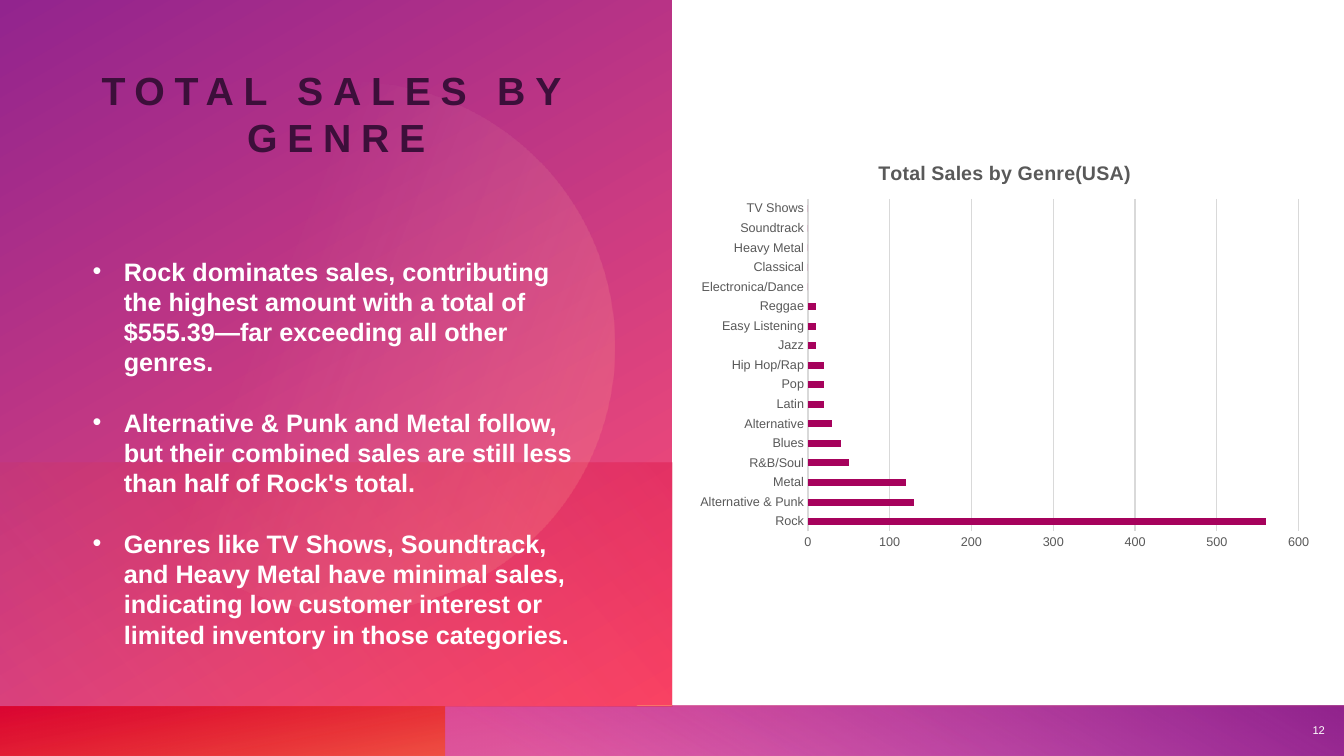
from lxml.etree import SubElement
from pptx import Presentation
from pptx.chart.data import CategoryChartData
from pptx.dml.color import RGBColor
from pptx.enum.chart import XL_CHART_TYPE, XL_TICK_MARK
from pptx.enum.shapes import MSO_SHAPE
from pptx.enum.text import MSO_ANCHOR, PP_ALIGN
from pptx.oxml import parse_xml
from pptx.oxml.ns import nsdecls, qn
from pptx.util import Inches, Pt

FONT = "Arial"
WHITE = RGBColor(0xFF, 0xFF, 0xFF)
PLUM = RGBColor(0x3C, 0x0F, 0x3A)
MAGENTA = RGBColor(0xA6, 0x02, 0x5C)
GREY = RGBColor(0x59, 0x59, 0x59)
GRID = RGBColor(0xD9, 0xD9, 0xD9)

TITLE = "TOTAL SALES BY GENRE"
PAGE = "12"
POINTS = [
    "Rock dominates sales, contributing the highest amount with a total of "
    "$555.39—far exceeding all other genres.",
    "Alternative & Punk and Metal follow, but their combined sales are still "
    "less than half of Rock's total.",
    "Genres like TV Shows, Soundtrack, and Heavy Metal have minimal sales, "
    "indicating low customer interest or limited inventory in those categories.",
]
CHART_TITLE = "Total Sales by Genre(USA)"
SALES = {
    "Rock": 560, "Alternative & Punk": 130, "Metal": 120, "R&B/Soul": 50,
    "Blues": 40, "Alternative": 30, "Latin": 20, "Pop": 20, "Hip Hop/Rap": 20,
    "Jazz": 10, "Easy Listening": 10, "Reggae": 10, "Electronica/Dance": 0,
    "Classical": 0, "Heavy Metal": 0, "Soundtrack": 0, "TV Shows": 0,
}

# Gradients: (stops as position %, colour, opacity %), clockwise angle
RED_BAR = ([(14, "FE4A00", 28), (100, "DA002F", 85)], 100)
PURPLE_BAR = ([(9, "D861D4", 55), (99, "92248E", 100)], 240)
# Backdrop: preset, box, rotation, flipped, gradient
FOOTER = [
    (MSO_SHAPE.RECTANGLE, (left, top, width, 0.5), rotation, True, gradient)
    for top in (7, 7.01)
    for left, width, rotation, gradient in (
        (0, 13.33, 180, RED_BAR), (4.42, 8.92, 0, PURPLE_BAR))
]
PANEL = [
    (MSO_SHAPE.RECTANGLE, (-0.18, 0.16, 7, 6.67), 90, True,
     ([(8, "FF907A", 100), (100, "DA002F", 89)], 50)),
    (MSO_SHAPE.RECTANGLE, (-0.18, 0.15, 7, 6.69), 90, True,
     ([(0, "FF5076", 100), (100, "92248E", 100)], 30)),
    (MSO_SHAPE.RECTANGLE, (2.11, 2.45, 2.42, 6.69), 90, True,
     ([(2, "DA002F", 28), (100, "FE4A00", 0)], 130)),
    (MSO_SHAPE.OVAL, (0.83, 0.81, 5.26, 5.26), 101.6, False,
     ([(39, "FFDBCC", 0), (100, "FF907A", 29)], 280)),
]


def add_backdrop(slide, preset, box, rotation, flipped, gradient):
    sp = slide.shapes.add_shape(preset, *map(Inches, box))
    sp.rotation = rotation
    sp.shadow.inherit = False
    sp.line.fill.background()
    if flipped:
        sp.element.spPr.find(qn("a:xfrm")).set("flipH", "1")
    stops, angle = gradient
    stop_xml = "".join(
        f'<a:gs pos="{pos * 1000}"><a:srgbClr val="{color}">'
        f'<a:alpha val="{opacity * 1000}"/></a:srgbClr></a:gs>'
        for pos, color, opacity in stops)
    fill = parse_xml(
        f'<a:gradFill {nsdecls("a")} rotWithShape="1"><a:gsLst>{stop_xml}</a:gsLst>'
        f'<a:lin ang="{angle * 60000}" scaled="0"/></a:gradFill>')
    sp.element.spPr.find(qn("a:prstGeom")).addnext(fill)


def set_font(font, size, color, bold=False):
    font.name, font.size, font.bold = FONT, Pt(size), bold
    font.color.rgb = color


def add_text(slide, box, paragraphs, size, color, bold, align, anchor):
    tf = slide.shapes.add_textbox(*map(Inches, box)).text_frame
    tf.word_wrap = True
    tf.vertical_anchor = anchor
    for i, text in enumerate(paragraphs):
        p = tf.paragraphs[0] if i == 0 else tf.add_paragraph()
        p.alignment = align
        r = p.add_run()
        r.text = text
        set_font(r.font, size, color, bold)
    return tf


def add_bullet(p):
    pPr = p._p.get_or_add_pPr()
    pPr.set("marL", str(Inches(0.31)))
    pPr.set("indent", str(-Inches(0.31)))
    SubElement(pPr, qn("a:buFont")).set("typeface", FONT)
    SubElement(pPr, qn("a:buChar")).set("char", "•")


def add_sales_chart(slide):
    data = CategoryChartData()
    data.categories = list(SALES)
    data.add_series("Series 1", list(SALES.values()))
    box = map(Inches, (6.82, 1.42, 6.29, 4.12))
    chart = slide.shapes.add_chart(XL_CHART_TYPE.BAR_CLUSTERED, *box, data).chart
    chart.has_legend = False
    chart.font.name, chart.font.size = FONT, Pt(10)
    chart.has_title = True
    r = chart.chart_title.text_frame.paragraphs[0].add_run()
    r.text = CHART_TITLE
    set_font(r.font, 14, GREY, True)
    chart.chart_title.include_in_layout = False

    plot = chart.plots[0]
    plot.gap_width = 182
    plot.vary_by_categories = False
    fill = plot.series[0].format.fill
    fill.solid()
    fill.fore_color.rgb = MAGENTA

    categories, values = chart.category_axis, chart.value_axis
    for axis in (categories, values):
        axis.major_tick_mark = axis.minor_tick_mark = XL_TICK_MARK.NONE
        set_font(axis.tick_labels.font, 9, GREY)
    values.minimum_scale, values.maximum_scale, values.major_unit = 0, 600, 100
    values.tick_labels.number_format = "General"
    values.tick_labels.number_format_is_linked = False
    values.format.line.fill.background()
    values.has_major_gridlines = True
    for line in (categories.format.line, values.major_gridlines.format.line):
        line.color.rgb = GRID
        line.width = Pt(0.75)


def main():
    prs = Presentation()
    prs.slide_width, prs.slide_height = Inches(13.33), Inches(7.5)
    slide = prs.slides.add_slide(prs.slide_layouts[6])
    for part in FOOTER + PANEL:
        add_backdrop(slide, *part)

    tf = add_text(slide, (0.51, 0.4, 5.65, 1.19), [TITLE], 28, PLUM, True,
                  PP_ALIGN.CENTER, MSO_ANCHOR.BOTTOM)
    tf.margin_left = tf.margin_right = tf.margin_top = tf.margin_bottom = 0
    tf.paragraphs[0].runs[0].font._element.set("spc", "700")

    add_text(slide, (12.76, 7, 0.48, 0.49), [PAGE], 8, WHITE, False,
             PP_ALIGN.RIGHT, MSO_ANCHOR.MIDDLE)

    tf = add_text(slide, (0.82, 2.49, 5.03, 4.04), POINTS, 18, WHITE, True,
                  PP_ALIGN.LEFT, MSO_ANCHOR.TOP)
    for p in tf.paragraphs:
        p.space_after = Pt(21.6)
        add_bullet(p)

    add_sales_chart(slide)
    prs.save("out.pptx")


if __name__ == "__main__":
    main()
